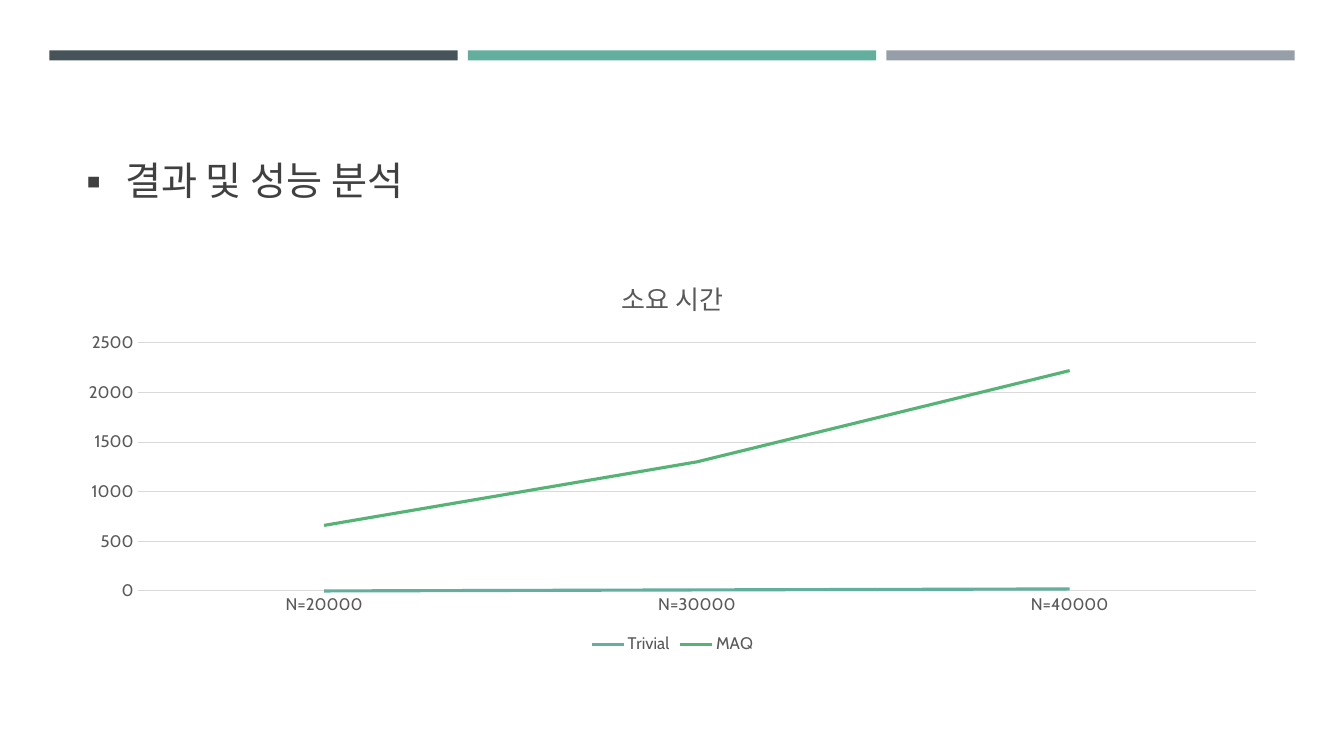
from dataclasses import dataclass

from lxml.etree import SubElement
from pptx import Presentation
from pptx.chart.data import CategoryChartData
from pptx.dml.color import RGBColor
from pptx.enum.chart import XL_CHART_TYPE, XL_LEGEND_POSITION, XL_TICK_MARK
from pptx.enum.shapes import MSO_SHAPE
from pptx.enum.text import MSO_ANCHOR, PP_ALIGN
from pptx.oxml.ns import qn
from pptx.util import Inches, Pt


@dataclass(frozen=True)
class Theme:
    dark: str = "465359"
    teal: str = "63AF9D"
    gray: str = "969FA7"
    green: str = "56B376"
    ink: str = "404040"
    label: str = "595959"
    grid: str = "D9D9D9"
    latin: str = "Cabin"
    hangul: str = "Noto Sans CJK KR"
    head: float = 28
    title: float = 18.6
    small: float = 12


class Deck:
    """Builds slide elements in one theme."""

    def __init__(self, theme):
        self.theme = theme
        self.prs = Presentation()
        self.prs.slide_width = Inches(13.33)
        self.prs.slide_height = Inches(7.5)
        self.slide = self.prs.slides.add_slide(self.prs.slide_layouts[5])

    def style(self, font, size, color, name):
        font.size = Pt(size)
        font.bold = False
        font.name = name
        font.color.rgb = RGBColor.from_string(color)

    def hangul(self, run, size, color):
        self.style(run.font, size, color, self.theme.hangul)
        SubElement(run.font._element, qn("a:ea"), typeface=self.theme.hangul)

    def bar(self, left, color):
        bar = self.slide.shapes.add_shape(
            MSO_SHAPE.RECTANGLE, Inches(left), Inches(0.5), Inches(4.05), Inches(0.1))
        bar.shadow.inherit = False
        bar.fill.solid()
        bar.fill.fore_color.rgb = RGBColor.from_string(color)
        bar.line.fill.background()

    def title(self, text, left, top, width, height):
        box = self.slide.shapes.title
        box.left, box.top = Inches(left), Inches(top)
        box.width, box.height = Inches(width), Inches(height)
        frame = box.text_frame
        frame.text = text
        frame.word_wrap = True
        frame.vertical_anchor = MSO_ANCHOR.BOTTOM
        para = frame.paragraphs[0]
        para.alignment = PP_ALIGN.LEFT
        props = para._p.get_or_add_pPr()
        props.set("marL", str(Inches(0.5)))
        props.set("indent", str(-Inches(0.5)))
        SubElement(props, qn("a:buFont"), typeface=self.theme.hangul)
        SubElement(props, qn("a:buChar"), char="▪")
        self.hangul(para.runs[0], self.theme.head, self.theme.ink)

    def axis(self, axis):
        axis.major_tick_mark = axis.minor_tick_mark = XL_TICK_MARK.NONE
        self.style(axis.tick_labels.font, self.theme.small, self.theme.label, self.theme.latin)

    def rule(self, line, color, width):
        line.color.rgb = RGBColor.from_string(color)
        line.width = Pt(width)

    def chart(self, title, cats, rows, left, top, width, height):
        data = CategoryChartData()
        data.categories = cats
        for name, vals, _ in rows:
            data.add_series(name, vals)
        chart = self.slide.shapes.add_chart(
            XL_CHART_TYPE.LINE, Inches(left), Inches(top),
            Inches(width), Inches(height), data).chart
        theme = self.theme
        self.style(chart.font, theme.small, theme.label, theme.latin)
        chart.has_title = True
        frame = chart.chart_title.text_frame
        frame.text = title
        self.hangul(frame.paragraphs[0].runs[0], theme.title, theme.label)
        chart.chart_title.include_in_layout = False
        chart.has_legend = True
        chart.legend.position = XL_LEGEND_POSITION.BOTTOM
        chart.legend.include_in_layout = False
        self.style(chart.legend.font, theme.small, theme.label, theme.latin)
        plot = chart.plots[0]
        plot.vary_by_categories = False
        for line, (_, _, color) in zip(plot.series, rows):
            line.smooth = False
            self.rule(line.format.line, color, 2.25)
        cat, val = chart.category_axis, chart.value_axis
        self.axis(cat)
        self.axis(val)
        self.rule(cat.format.line, theme.grid, 0.75)
        val.format.line.fill.background()
        self.rule(val.major_gridlines.format.line, theme.grid, 0.75)
        val.minimum_scale, val.maximum_scale, val.major_unit = 0, 2500, 500


def main():
    theme = Theme()
    deck = Deck(theme)
    for i, color in enumerate((theme.dark, theme.teal, theme.gray)):
        deck.bar(0.49 + i * 4.15, color)
    deck.title("결과 및 성능 분석", 0.64, 0.77, 12.06, 1.3)
    rows = [("Trivial", (0, 10, 20), theme.teal),
            ("MAQ", (660, 1300, 2220), theme.green)]
    deck.chart("소요 시간", ("N=20000", "N=30000", "N=40000"), rows,
               0.64, 2.56, 12.06, 3.97)
    deck.prs.save("out.pptx")


if __name__ == "__main__":
    main()
